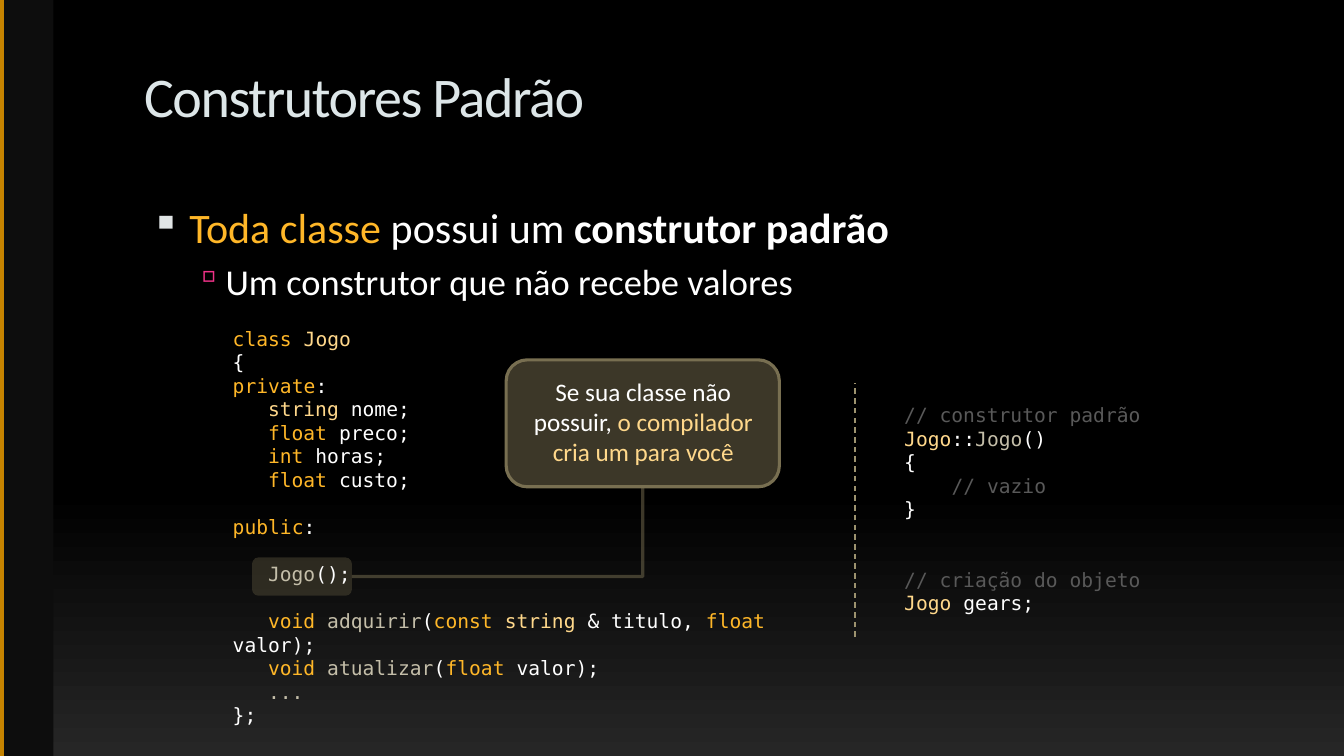
"""Build the slide on default constructors."""
from dataclasses import dataclass
from typing import NamedTuple

import lxml.etree
import pptx
import pptx.dml.color
import pptx.enum.dml
import pptx.enum.shapes
import pptx.enum.text
import pptx.oxml.ns
import pptx.util

PX = 9144
TAB = 35
BLANK = 16.8
HUES = {
    "black": "000000", "ash": "262626", "bar": "0D0D0D", "amber": "C58300",
    "gold": "FFB728", "sand": "FFD88B", "stone": "C4BEA9", "white": "FFFFFF",
    "note": "595959", "title": "DDE6E8", "square": "E0E4E5", "pink": "F03288",
    "olive": "786F51", "pill": "504A36", "dash": "9D936F",
}
KIND = pptx.enum.shapes.MSO_SHAPE
qn = pptx.oxml.ns.qn


class Box(NamedTuple):
    left: int
    top: int
    width: int
    height: int


class Bit(NamedTuple):
    text: str
    hue: str
    bold: bool = False


class Mark(NamedTuple):
    char: str
    hue: str
    size: int


@dataclass
class Line:
    bits: list[Bit]
    size: int = 14
    font: str = "DejaVu Sans Mono"
    first: int = 0
    left: int = 0
    before: float = 0
    mark: Mark | None = None
    center: bool = False


@dataclass
class Block:
    box: Box
    lines: list[Line]
    grow: bool = True


@dataclass
class Panel:
    box: Box
    kind: int
    fill: str
    alpha: int = 100
    edge: str = ""


@dataclass
class Rule:
    start: tuple[int, int]
    end: tuple[int, int]
    hue: str
    width: float
    dash: bool = False


def rgb(hue: str) -> pptx.dml.color.RGBColor:
    return pptx.dml.color.RGBColor.from_string(HUES[hue])


def emu(nums) -> list[int]:
    return [num * PX for num in nums]


def fade(node, alpha: int) -> None:
    tint = next(node.iter(qn("a:srgbClr")))
    lxml.etree.SubElement(tint, qn("a:alpha"), val=str(alpha * 1000))


def add_mark(props, mark: Mark) -> None:
    tint = lxml.etree.SubElement(props, qn("a:buClr"))
    lxml.etree.SubElement(tint, qn("a:srgbClr"), val=HUES[mark.hue])
    lxml.etree.SubElement(props, qn("a:buSzPct"), val=str(mark.size * 1000))
    lxml.etree.SubElement(props, qn("a:buChar"), char=mark.char)


def add_line(para, line: Line) -> None:
    props = para._p.get_or_add_pPr()
    props.set("marL", str(line.left * PX))
    props.set("indent", str(line.first * PX))
    if line.mark:
        add_mark(props, line.mark)
    para.space_before = pptx.util.Pt(line.before)
    if line.center:
        para.alignment = pptx.enum.text.PP_ALIGN.CENTER
    para.font.name = line.font
    para.font.size = pptx.util.Pt(line.size)
    same = len({(bit.hue, bit.bold) for bit in line.bits}) == 1
    if same:
        para.font.color.rgb = rgb(line.bits[0].hue)
    for bit in line.bits:
        run = para.add_run()
        run.text = bit.text
        if not same:
            run.font.color.rgb = rgb(bit.hue)
        if bit.bold:
            run.font.bold = True


def add_block(slide, block: Block):
    shape = slide.shapes.add_textbox(*emu(block.box))
    frame = shape.text_frame
    frame.word_wrap = True
    if block.grow:
        frame.auto_size = pptx.enum.text.MSO_AUTO_SIZE.SHAPE_TO_FIT_TEXT
    for num, line in enumerate(block.lines):
        add_line(frame.add_paragraph() if num else frame.paragraphs[0], line)
    return shape


def add_panel(slide, panel: Panel):
    shape = slide.shapes.add_shape(panel.kind, *emu(panel.box))
    shape.shadow.inherit = False
    shape.fill.solid()
    shape.fill.fore_color.rgb = rgb(panel.fill)
    if panel.alpha < 100:
        fade(shape._element.spPr, panel.alpha)
    if panel.edge:
        shape.line.color.rgb = rgb(panel.edge)
        shape.line.width = pptx.util.Pt(2.25)
    else:
        shape.line.fill.background()
    return shape


def add_rule(slide, rule: Rule, kind=pptx.enum.shapes.MSO_CONNECTOR.STRAIGHT):
    link = slide.shapes.add_connector(kind, *emu(rule.start + rule.end))
    link.line.color.rgb = rgb(rule.hue)
    link.line.width = pptx.util.Pt(rule.width)
    if rule.dash:
        link.line.dash_style = pptx.enum.dml.MSO_LINE.DASH
    lxml.etree.SubElement(link._element.spPr, qn("a:effectLst"))
    return link


def add_bend(slide, pill, card) -> None:
    rule = Rule((349, 572), (637, 483), "olive", 2.25)
    link = add_rule(slide, rule, pptx.enum.shapes.MSO_CONNECTOR.ELBOW)
    link._element.spPr.find(qn("a:prstGeom")).set("prst", "bentConnector2")
    fade(link._element.spPr.find(qn("a:ln")), 50)
    link.begin_connect(pill, 3)
    link.end_connect(card, 2)


TITLE = Block(Box(133, 56, 951, 100), [
    Line([Bit("Construtores Padrão", "title")], 40, "Calibri")], False)
BODY = Block(Box(133, 195, 1133, 500), [
    Line([Bit("Toda classe", "gold"), Bit(" possui um ", "white"),
          Bit("construtor padrão", "white", True)],
         30, "Calibri", -38, 45, 7, Mark("▪", "square", 95)),
    Line([Bit("Um construtor que não recebe valores", "white")],
         26, "Calibri", -31, 81, 5.2, Mark("▫", "pink", 90))], False)
USE = Block(Box(887, 395, 276, 222), [
    Line([Bit("// construtor padrão", "note")]),
    Line([Bit("Jogo", "sand"), Bit("::", "white"), Bit("Jogo", "stone"), Bit("()", "white")]),
    Line([Bit("{", "white")]),
    Line([Bit("// vazio", "note")], first=47),
    Line([Bit("}", "white")]),
    Line([Bit("// criação do objeto", "note")], before=2 * BLANK),
    Line([Bit("Jogo ", "sand"), Bit("gears;", "white")])])
TIP = Block(Box(517, 368, 242, 101), [
    Line([Bit("Se sua classe não possuir, ", "white"),
          Bit("o compilador cria um para você", "sand")], 18, "Calibri", center=True)])
FIELDS = [("string", "sand", "nome"), ("float", "gold", "preco"),
          ("int", "gold", "horas"), ("float", "gold", "custo")]
CODE = Block(Box(221, 319, 611, 387), [
    Line([Bit("class ", "gold"), Bit("Jogo", "sand")]),
    Line([Bit("{", "white")]),
    Line([Bit("private", "gold"), Bit(":", "white")]),
    *[Line([Bit(kind, hue), Bit(f" {name};", "white")], first=TAB)
      for kind, hue, name in FIELDS],
    Line([Bit("public", "gold"), Bit(":", "white")], before=BLANK),
    Line([Bit("Jogo", "stone"), Bit("();", "white")], first=TAB, before=BLANK),
    Line([Bit("void ", "gold"), Bit("adquirir", "stone"), Bit("(", "white"),
          Bit("const ", "gold"), Bit("string ", "sand"), Bit("& titulo, ", "white"),
          Bit("float", "gold"), Bit(" valor);", "white")], first=TAB, before=BLANK),
    Line([Bit("void ", "gold"), Bit("atualizar", "stone"), Bit("(", "white"),
          Bit("float", "gold"), Bit(" valor);", "white")], first=TAB),
    Line([Bit("...", "stone")], first=TAB),
    Line([Bit("};", "white")])])


def main() -> None:
    deck = pptx.Presentation()
    deck.slide_width, deck.slide_height = emu((1333, 750))
    slide = deck.slides.add_slide(deck.slide_layouts[6])
    fill = slide.background.fill
    fill.gradient()
    fill.gradient_angle = 270
    for stop, (spot, hue) in zip(fill.gradient_stops, [(0.65, "black"), (1, "ash")]):
        stop.position = spot
        stop.color.rgb = rgb(hue)
    add_panel(slide, Panel(Box(0, 0, 53, 750), KIND.RECTANGLE, "bar"))
    add_rule(slide, Rule((2, 0), (2, 750), "amber", 3))
    add_block(slide, BODY)
    pill = add_panel(slide, Panel(Box(250, 553, 99, 38), KIND.ROUNDED_RECTANGLE, "pill", 50))
    title = add_block(slide, TITLE)
    title.text_frame.paragraphs[0].runs[0]._r.get_or_add_rPr().set("spc", "-100")
    add_block(slide, USE)
    card = add_panel(
        slide, Panel(Box(502, 357, 271, 126), KIND.ROUNDED_RECTANGLE, "olive", 50, "olive"))
    add_block(slide, TIP)
    add_rule(slide, Rule((848, 632), (848, 380), "dash", 1, True))
    add_bend(slide, pill, card)
    add_block(slide, CODE)
    deck.save("out.pptx")


if __name__ == "__main__":
    main()
